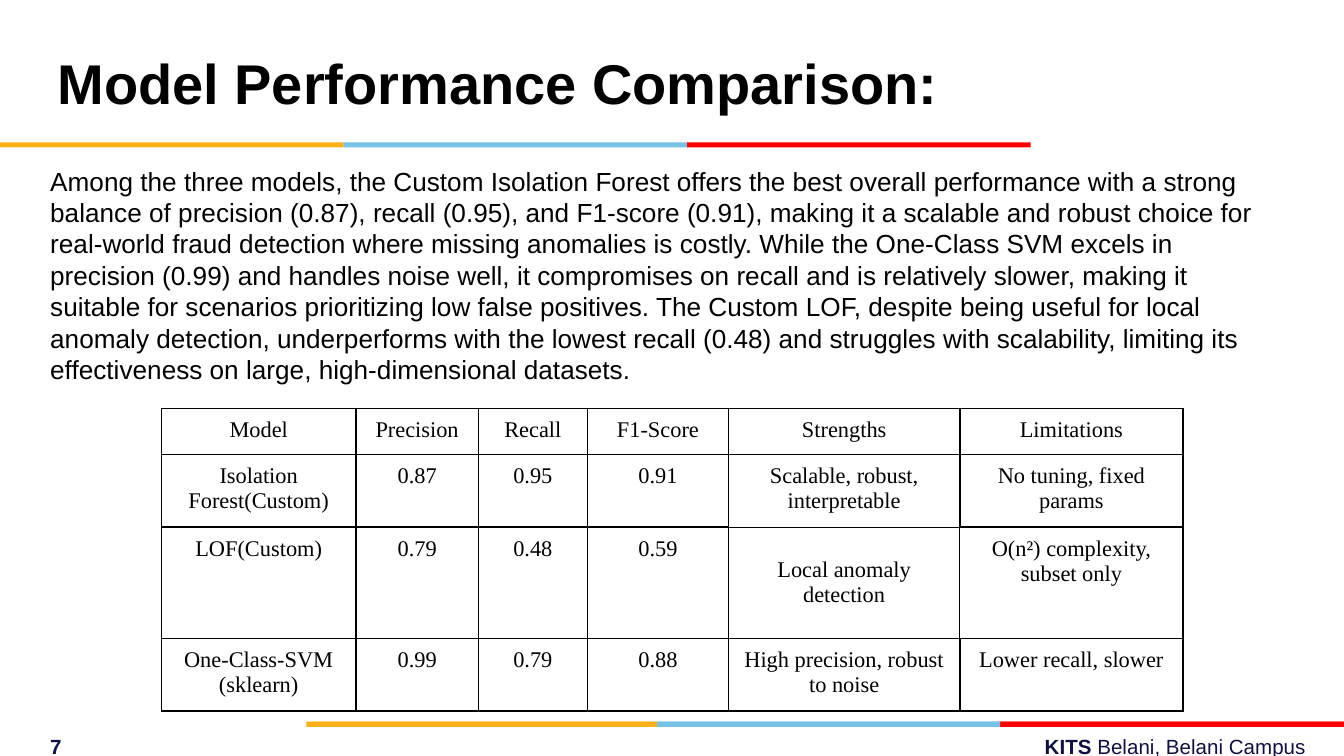
from lxml.etree import SubElement
from pptx import Presentation
from pptx.dml.color import RGBColor
from pptx.enum.shapes import MSO_SHAPE
from pptx.enum.text import MSO_ANCHOR, PP_ALIGN
from pptx.oxml.ns import qn
from pptx.util import Cm, Pt

COLORS = {
    "black": "000000",
    "navy": "101141",
    "gold": "FCB017",
    "blue": "76C2E5",
    "red": "FF0000",
    "dark_red": "E31C24",
}
SUMMARY = (
    "Among the three models, the Custom Isolation Forest offers the best overall "
    "performance with a strong balance of precision (0.87), recall (0.95), and "
    "F1-score (0.91), making it a scalable and robust choice for real-world fraud "
    "detection where missing anomalies is costly. While the One-Class SVM excels in "
    "precision (0.99) and handles noise well, it compromises on recall and is "
    "relatively slower, making it suitable for scenarios prioritizing low false "
    "positives. The Custom LOF, despite being useful for local anomaly detection, "
    "underperforms with the lowest recall (0.48) and struggles with scalability, "
    "limiting its effectiveness on large, high-dimensional datasets."
)
ROWS = [
    ["Model", "Precision", "Recall", "F1-Score", "Strengths", "Limitations"],
    ["Isolation Forest(Custom)", "0.87", "0.95", "0.91",
     "Scalable, robust, interpretable", "No tuning, fixed params"],
    ["LOF(Custom)", "0.79", "0.48", "0.59",
     "Local anomaly detection", "O(n²) complexity, subset only"],
    ["One-Class-SVM\n(sklearn)", "0.99", "0.79", "0.88",
     "High precision, robust to noise", "Lower recall, slower"],
]
COL_WIDTHS = [3.68, 2.31, 2.06, 2.67, 4.37, 4.22]
ROW_HEIGHTS = [0.84, 1.34, 2.1, 1.34]
THIN_CELL = (2, 4)
SIDES = {"a:lnL": (0, -1), "a:lnR": (0, 1), "a:lnT": (-1, 0), "a:lnB": (1, 0)}


def style_run(r, size, font="Arial", color="black", bold=False):
    r.font.size = Pt(size)
    r.font.name = font
    r.font.bold = bold
    r.font.color.rgb = RGBColor.from_string(COLORS[color])


def add_text(slide, box, text, size, bold=False, inset=0.13):
    tf = slide.shapes.add_textbox(*map(Cm, box)).text_frame
    tf.word_wrap = True
    tf.margin_left = tf.margin_right = Cm(0.25)
    tf.margin_top = tf.margin_bottom = Cm(inset)
    p = tf.paragraphs[0]
    p.text = text
    style_run(p.runs[0], size, bold=bold)
    return tf


def add_title(slide, box):
    tf = add_text(slide, box, "Model Performance Comparison:", 30, bold=True)
    tf.vertical_anchor = MSO_ANCHOR.MIDDLE
    p = tf.paragraphs[0]
    p.line_spacing = 1.08
    p.space_before, p.space_after = Pt(18), Pt(3)


def add_stripe(slide, box, red="red"):
    left, top, width, height = box
    band = width / 3
    group = slide.shapes.add_group_shape()
    for i, color in enumerate(["gold", "blue", red]):
        s = group.shapes.add_shape(MSO_SHAPE.RECTANGLE, Cm(left + i * band),
                                   Cm(top), Cm(band), Cm(height))
        s.shadow.inherit = False
        s.fill.solid()
        s.fill.fore_color.rgb = RGBColor.from_string(COLORS[color])
        s.line.fill.background()


def add_footer(slide, box):
    p = add_text(slide, box, "7\tKITS ", 11, bold=True).paragraphs[0]
    r = p.add_run()
    r.text = "Belani, Belani Campus"
    for run, bold in zip(p.runs, [True, False]):
        style_run(run, 11, color="navy", bold=bold)
    tabs = SubElement(p._p.get_or_add_pPr(), qn("a:tabLst"))
    SubElement(tabs, qn("a:tab"), pos=str(Cm(box[2] - 0.98)), algn="r")


def set_borders(cell, row, col):
    tc_pr = cell._tc.get_or_add_tcPr()
    for tag, (dr, dc) in SIDES.items():
        thin = THIN_CELL in [(row, col), (row + dr, col + dc)]
        ln = SubElement(tc_pr, qn(tag), w=str(Pt(0.6 if thin else 1)))
        fill = SubElement(ln, qn("a:solidFill"))
        SubElement(fill, qn("a:srgbClr"), val=COLORS["black"])


def fill_cell(cell, text, row, col):
    special = (row, col) == THIN_CELL
    cell.margin_left = cell.margin_right = Cm(0.2 if special else 0.18)
    cell.margin_top = cell.margin_bottom = Cm(0.18)
    cell.vertical_anchor = MSO_ANCHOR.MIDDLE if special else MSO_ANCHOR.TOP
    cell.text_frame.text = text
    for p in cell.text_frame.paragraphs:
        p.alignment = PP_ALIGN.CENTER
        if special:
            p.space_before = p.space_after = Pt(11)
        style_run(p.runs[0], 12, "Times New Roman")
    set_borders(cell, row, col)
    cell.fill.background()


def add_results(slide, box):
    table = slide.shapes.add_table(len(ROWS), len(COL_WIDTHS), *map(Cm, box)).table
    table.first_row = table.horz_banding = False
    for column, width in zip(table.columns, COL_WIDTHS):
        column.width = Cm(width)
    for row, height in zip(table.rows, ROW_HEIGHTS):
        row.height = Cm(height)
    for i, texts in enumerate(ROWS):
        for j, text in enumerate(texts):
            fill_cell(table.cell(i, j), text, i, j)


def main():
    prs = Presentation()
    prs.slide_width, prs.slide_height = Cm(25.4), Cm(14.29)
    slide = prs.slides.add_slide(prs.slide_layouts[6])
    add_footer(slide, (0.7, 13.74, 24.71, 0.74))
    add_stripe(slide, (5.79, 13.64, 19.61, 0.1), "dark_red")
    add_stripe(slide, (5.92, 13.64, 19.48, 0.1))
    add_stripe(slide, (0, 2.69, 19.48, 0.1))
    add_title(slide, (0.84, 0.3, 17.58, 2.39))
    add_results(slide, (3.05, 7.72, sum(COL_WIDTHS), sum(ROW_HEIGHTS)))
    add_text(slide, (0.7, 2.87, 23.72, 4.7), SUMMARY, 14, inset=0.25)
    prs.save("out.pptx")


if __name__ == "__main__":
    main()
